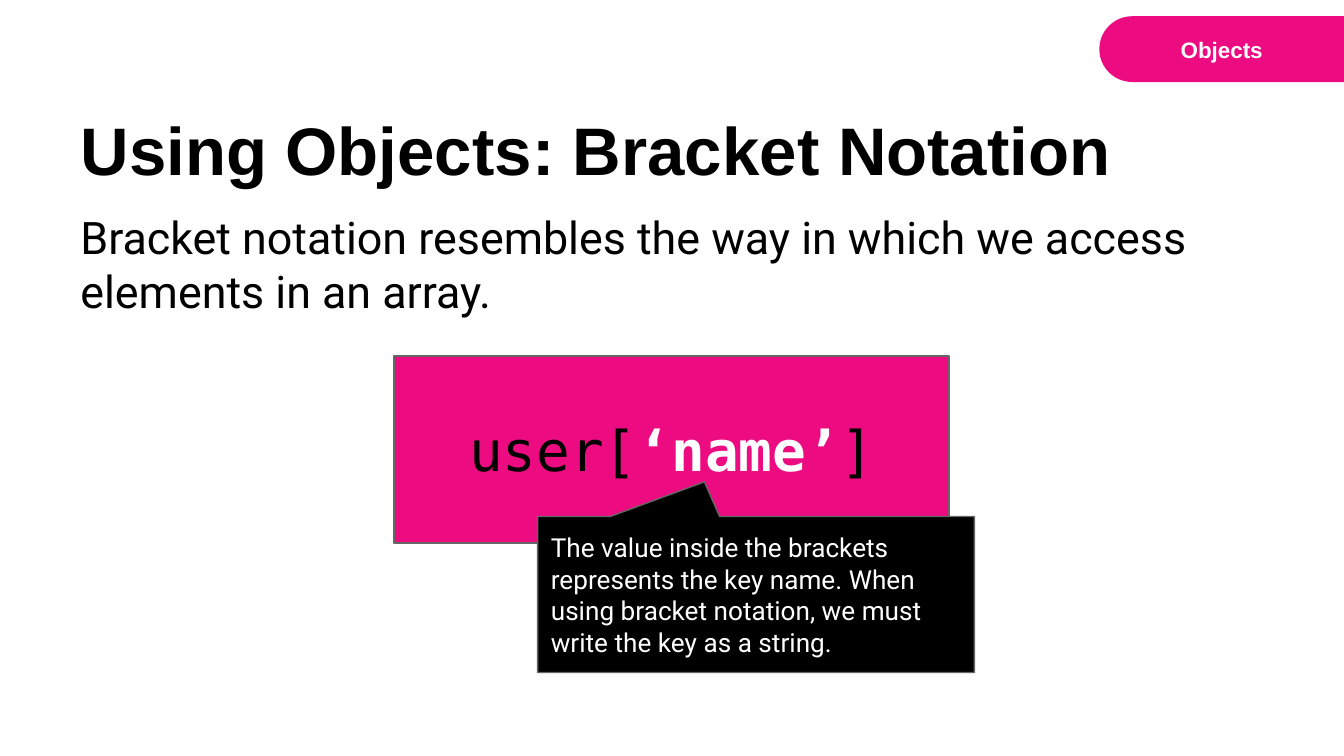
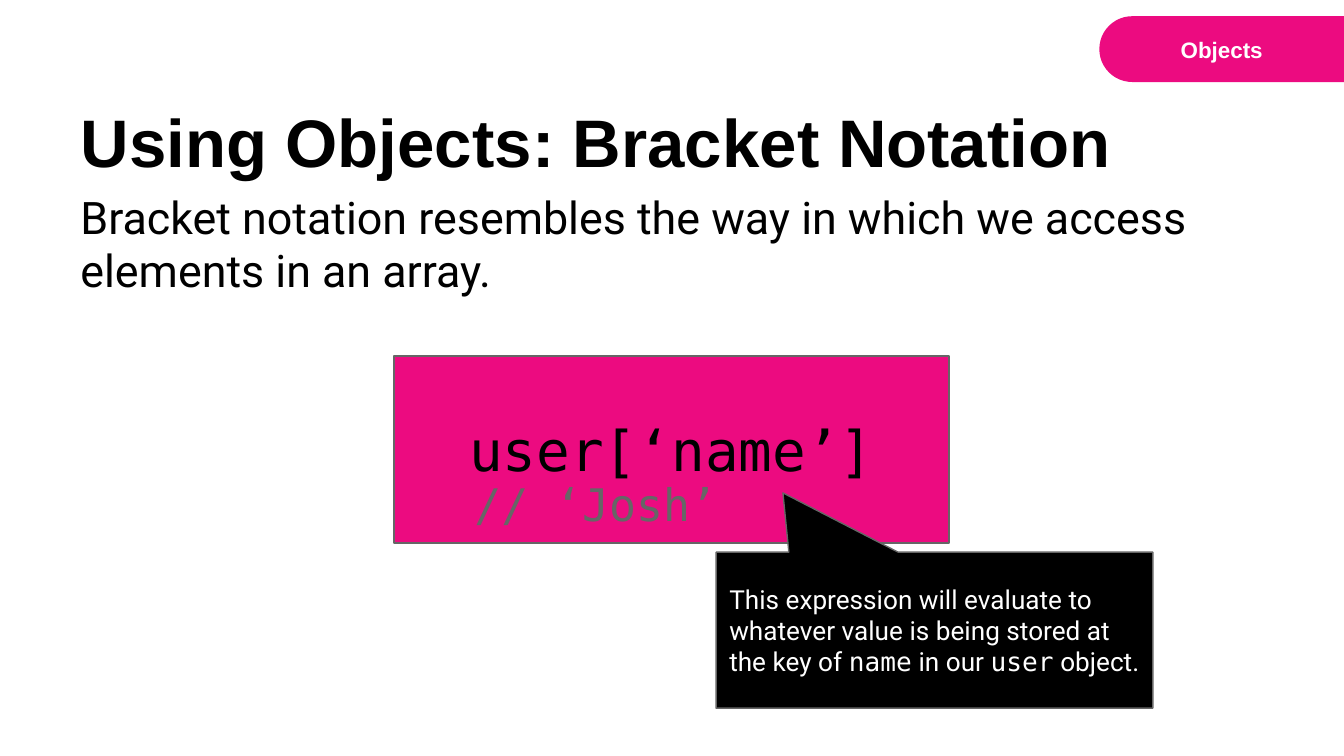
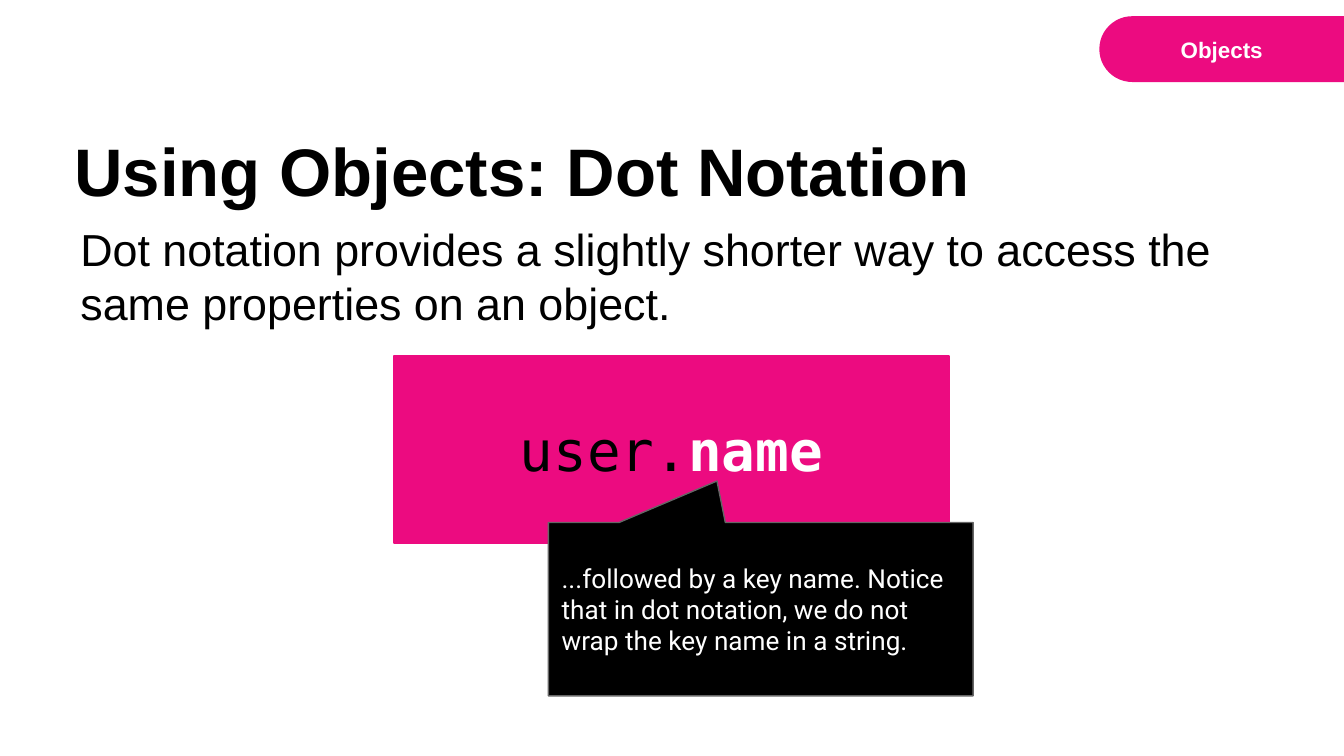
from dataclasses import dataclass
from typing import NamedTuple, Optional

from pptx import Presentation
from pptx.dml.color import RGBColor
from pptx.enum.shapes import MSO_SHAPE
from pptx.enum.text import MSO_ANCHOR, MSO_AUTO_SIZE, PP_ALIGN
from pptx.util import Pt

RECTANGLE = MSO_SHAPE.RECTANGLE
ROUND_TOP = MSO_SHAPE.ROUND_2_SAME_RECTANGLE
CALLOUT = MSO_SHAPE.ROUNDED_RECTANGULAR_CALLOUT
LEFT, CENTER = PP_ALIGN.LEFT, PP_ALIGN.CENTER
TOP, MIDDLE, BOTTOM = MSO_ANCHOR.TOP, MSO_ANCHOR.MIDDLE, MSO_ANCHOR.BOTTOM
NO_FIT = MSO_AUTO_SIZE.NONE
TITLE_ONLY = 5


# Theme: colours, fonts and type sizes
@dataclass(frozen=True)
class Theme:
    pink: RGBColor = RGBColor(0xEC, 0x0B, 0x80)
    black: RGBColor = RGBColor(0, 0, 0)
    white: RGBColor = RGBColor(0xFF, 0xFF, 0xFF)
    grey: RGBColor = RGBColor(0x66, 0x66, 0x66)
    sans: str = "Arial"
    body: str = "Roboto"
    mono: str = "DejaVu Sans Mono"
    badge_size: float = 12
    title_size: float = 36
    body_size: float = 24
    code_size: float = 30
    note_size: float = 14
    inset: float = 7.2
    outline: float = 0.75


THEME = Theme()


class Area(NamedTuple):
    left: float
    top: float
    width: float
    height: float


class Span(NamedTuple):
    text: str
    font: str
    size: float
    color: RGBColor
    bold: bool = False


class Note(NamedTuple):
    area: Area
    tip: tuple[float, float]
    spans: list[Span]


@dataclass(frozen=True)
class Lesson:
    title: str
    title_left: float
    title_top: float
    intro: str
    intro_top: float
    code: list[Span]
    note: Note
    intro_font: str = THEME.body
    code_outline: RGBColor = THEME.grey
    result: Optional[str] = None


SLIDE_WIDTH, SLIDE_HEIGHT = 720, 405
BADGE = Area(637.2, -39.6, 35.3, 131.8)
BADGE_LABEL = Area(592.6, 12.2, 123.8, 28.8)
TITLE_WIDTH, TITLE_HEIGHT = 648, 67.7
INTRO_LEFT, INTRO_WIDTH, INTRO_HEIGHT = 36, 648, 293
CODE = Area(211, 190.8, 297.4, 100.1)
RESULT = Area(247, 238.3, 294.5, 63.4)


# Span styles
def code(text: str) -> Span:
    return Span(text, THEME.mono, THEME.code_size, THEME.black)


def key(text: str) -> Span:
    return Span(text, THEME.mono, THEME.code_size, THEME.white, True)


def note(text: str, font: str = THEME.body) -> Span:
    return Span(text, font, THEME.note_size, THEME.white)


# Drawing helpers
def place(shape, area: Area) -> None:
    shape.left, shape.top, shape.width, shape.height = map(Pt, area)


def write(shape, spans: list[Span], align=LEFT, anchor=TOP) -> None:
    frame = shape.text_frame
    frame.word_wrap = True
    frame.auto_size = NO_FIT
    frame.vertical_anchor = anchor
    frame.margin_left = frame.margin_right = Pt(THEME.inset)
    frame.margin_top = frame.margin_bottom = Pt(THEME.inset)
    para = frame.paragraphs[0]
    para.alignment = align
    for span in spans:
        run = para.add_run()
        run.text = span.text
        run.font.name = span.font
        run.font.size = Pt(span.size)
        run.font.bold = span.bold
        run.font.color.rgb = span.color


def add_text(page, area: Area, spans: list[Span], align=LEFT, anchor=TOP) -> None:
    box = page.shapes.add_textbox(*map(Pt, area))
    write(box, spans, align, anchor)


def add_panel(page, kind, area: Area, fill: RGBColor,
              outline: Optional[RGBColor] = None):
    panel = page.shapes.add_shape(kind, *map(Pt, area))
    panel.shadow.inherit = False
    panel.fill.solid()
    panel.fill.fore_color.rgb = fill
    if outline is None:
        panel.line.fill.background()
    else:
        panel.line.color.rgb = outline
        panel.line.width = Pt(THEME.outline)
    return panel


# Slide parts
def add_badge(page) -> None:
    badge = add_panel(page, ROUND_TOP, BADGE, THEME.pink)
    badge.adjustments[0] = 0.5
    badge.rotation = 270
    label = Span("Objects", THEME.sans, THEME.badge_size, THEME.white, True)
    add_text(page, BADGE_LABEL, [label], CENTER)


def add_note(page, callout: Note) -> None:
    bubble = add_panel(page, CALLOUT, callout.area, THEME.black, THEME.grey)
    for index, value in enumerate((*callout.tip, 0)):
        bubble.adjustments[index] = value
    write(bubble, callout.spans, anchor=MIDDLE)


def add_lesson(deck, lesson: Lesson) -> None:
    page = deck.slides.add_slide(deck.slide_layouts[TITLE_ONLY])
    add_badge(page)

    # Title and introduction
    title = page.shapes.title
    place(title, Area(lesson.title_left, lesson.title_top, TITLE_WIDTH, TITLE_HEIGHT))
    write(title, [Span(lesson.title, THEME.sans, THEME.title_size, THEME.black, True)],
          anchor=BOTTOM)
    add_text(page, Area(INTRO_LEFT, lesson.intro_top, INTRO_WIDTH, INTRO_HEIGHT),
             [Span(lesson.intro, lesson.intro_font, THEME.body_size, THEME.black)])

    # Code sample with its explanation
    sample = add_panel(page, RECTANGLE, CODE, THEME.pink, lesson.code_outline)
    write(sample, lesson.code, CENTER, MIDDLE)
    add_note(page, lesson.note)
    if lesson.result:
        add_text(page, RESULT,
                 [Span(lesson.result, THEME.mono, THEME.body_size, THEME.grey)],
                 anchor=MIDDLE)


# Content
BRACKET_TITLE = "Using Objects: Bracket Notation"
BRACKET_INTRO = ("Bracket notation resembles the way in which we access "
                 "elements in an array.")

LESSONS = [
    Lesson(
        BRACKET_TITLE, 36, 41, BRACKET_INTRO, 105.1,
        [code("user["), key("‘name’"), code("]")],
        Note(Area(288, 276.7, 234, 83.6), (-0.118, -0.722), [
            note("The value inside the brackets represents the key name. When "
                 "using bracket notation, we must write the key as a string."),
        ]),
    ),
    Lesson(
        BRACKET_TITLE, 36, 36.4, BRACKET_INTRO, 94.3,
        [code("user[‘name’]")],
        Note(Area(383.6, 295.8, 234, 83.6), (-0.347, -0.88), [
            note("This expression will evaluate to whatever value is being "
                 "stored at the key of "),
            note("name", THEME.mono),
            note(" in our "),
            note("user", THEME.mono),
            note(" object."),
        ]),
        result="// ‘Josh’",
    ),
    Lesson(
        "Using Objects: Dot Notation", 32.6, 52.2,
        "Dot notation provides a slightly shorter way to access the same "
        "properties on an object.", 111.6,
        [code("user."), key("name")],
        Note(Area(293.8, 279.9, 227.5, 92.9), (-0.103, -0.739), [
            note("...followed by a key name. Notice that in dot notation, we do "
                 "not wrap the key name in a string."),
        ]),
        intro_font=THEME.sans,
        code_outline=THEME.pink,
    ),
]


def main() -> None:
    deck = Presentation()
    deck.slide_width, deck.slide_height = Pt(SLIDE_WIDTH), Pt(SLIDE_HEIGHT)
    for lesson in LESSONS:
        add_lesson(deck, lesson)
    deck.save("out.pptx")


if __name__ == "__main__":
    main()
